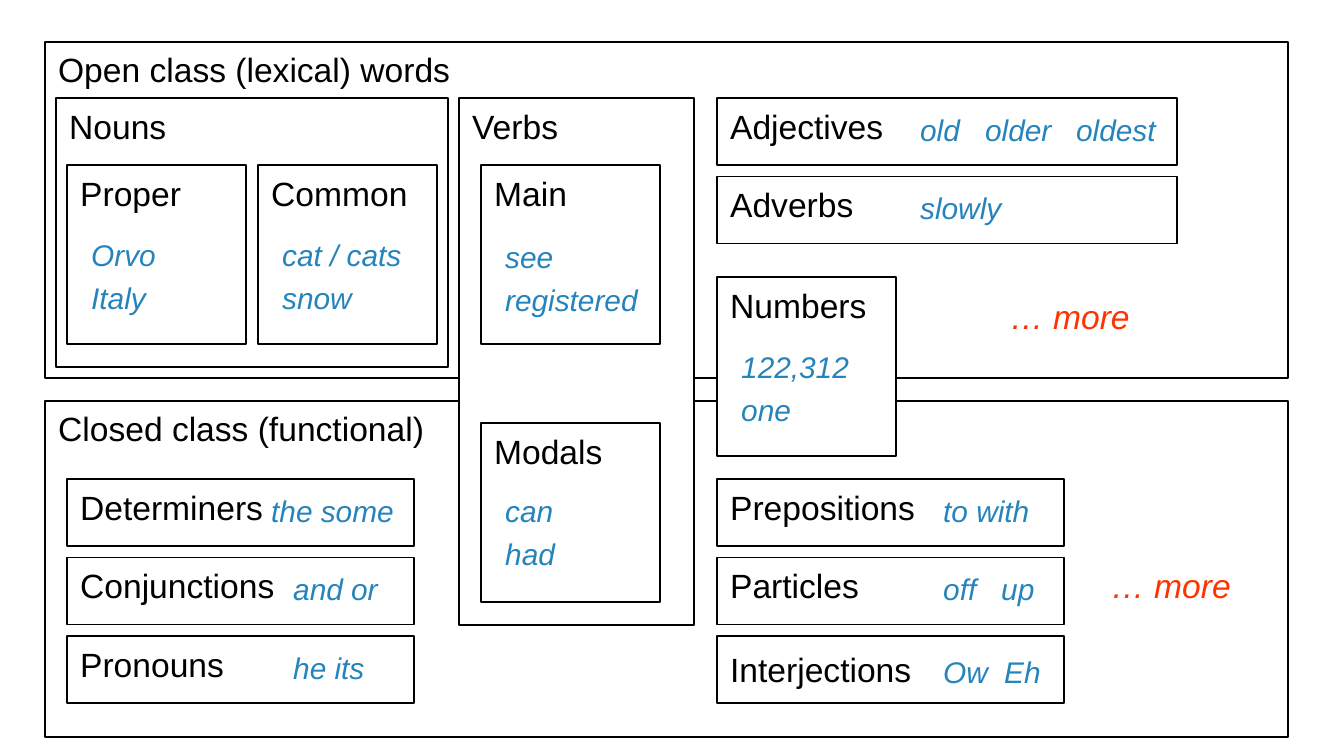
import pptx
import pptx.dml.color
import pptx.enum.shapes
import pptx.enum.text
import pptx.util
from lxml import etree

SCALE = 914400 / 134.4
COLORS = {"ink": "000000", "paper": "FFFFFF", "example": "2584BB", "more": "FF3300"}
FRAME_W, FRAME_H = 1243, 336
CARD, ROW_H, ROW_PITCH = 179, 67, 78.5
A_NS = "http://schemas.openxmlformats.org/drawingml/2006/main"


def px(n):
    """Turn pixels into EMU."""
    return pptx.util.Emu(round(n * SCALE))


def rgb(name):
    """Look up a named colour."""
    return pptx.dml.color.RGBColor.from_string(COLORS[name])


def write(tf, text, size=18, color="ink", italic=False, gap=0, tabs=()):
    """Fill a text frame, one paragraph for each line of text."""
    for i, line in enumerate(text.split("\n")):
        p = tf.paragraphs[0] if i == 0 else tf.add_paragraph()
        p.alignment = pptx.enum.text.PP_ALIGN.LEFT
        p.space_before = pptx.util.Pt(gap if i else 0)
        if tabs:
            tab_list = etree.SubElement(p._p.get_or_add_pPr(), f"{{{A_NS}}}tabLst")
            for t in tabs:
                etree.SubElement(tab_list, f"{{{A_NS}}}tab", pos=str(px(t)), algn="l")
        r = p.add_run()
        r.text = line
        r.font.name = "Arial"
        r.font.size = pptx.util.Pt(size)
        r.font.italic = italic
        r.font.color.rgb = rgb(color)


def label(s, x, y, w, text, h=54, **fmt):
    """Add a wrapped text box."""
    sp = s.shapes.add_textbox(px(x), px(y), px(w), px(h))
    sp.text_frame.word_wrap = True
    write(sp.text_frame, text, **fmt)


def example(s, x, y, text, w=168, tabs=()):
    """Add blue sample words."""
    h = 93 if "\n" in text else 50
    label(s, x, y, w, text, h=h, size=16, color="example", italic=True, gap=4, tabs=tabs)


def box(s, x, y, w, h, filled=False):
    """Add an outlined rectangle."""
    sp = s.shapes.add_shape(pptx.enum.shapes.MSO_SHAPE.RECTANGLE, px(x), px(y), px(w), px(h))
    sp.shadow.inherit = False
    if filled:
        sp.fill.solid()
        sp.fill.fore_color.rgb = rgb("paper")
    else:
        sp.fill.background()
    sp.line.color.rgb = rgb("ink")
    sp.line.width = pptx.util.Pt(0.75)
    return sp


def card(s, x, y, title, words, words_dy=65, filled=False):
    """Add a square card with a heading and two sample lines."""
    box(s, x, y, CARD, CARD, filled)
    label(s, x, y + 1, 168, title)
    example(s, x + 11, y + words_dy, words)


def row(s, x, y, w, title, words, words_dx, words_dy=7, words_w=168, tabs=(), centred=False):
    """Add a wide box with a heading and sample words beside it."""
    sp = box(s, x, y, w, ROW_H, filled=True)
    if centred:
        sp.text_frame.word_wrap = False
        sp.text_frame.vertical_anchor = pptx.enum.text.MSO_ANCHOR.MIDDLE
        write(sp.text_frame, title)
    else:
        label(s, x, y + 1, 258, title)
    example(s, x + words_dx, y + words_dy, words, words_w, tabs)


def rows(s, x, y, w, items):
    """Stack rows at an equal pitch."""
    for i, (title, words, words_dx, options) in enumerate(items):
        row(s, x, y + i * ROW_PITCH, w, title, words, words_dx, **options)


def frame(s, x, y, title, more_x, more_y):
    """Add a word class frame with its heading and remark."""
    box(s, x, y, FRAME_W, FRAME_H)
    label(s, x, y, 538, title)
    label(s, x + more_x, y + more_y, 168, "… more", color="more", italic=True)


def open_class(s, x, y):
    """Place the open class region."""
    frame(s, x, y, "Open class (lexical) words", 952, 247)
    box(s, x + 11, y + 56, 392, 269)
    label(s, x + 11, y + 57, 212, "Nouns")
    for i, (title, words) in enumerate([("Proper", "Orvo\nItaly"), ("Common", "cat / cats\nsnow")]):
        card(s, x + 22 + i * 191, y + 123, title, words)
    rows(s, x + 672, y + 56, 460, [
        ("Adjectives", "old\tolder\toldest", 190, {"words_w": 292, "tabs": (65, 156)}),
        ("Adverbs", "slowly", 190, {}),
    ])


def closed_class(s, x, y):
    """Place the closed class region."""
    frame(s, x, y, "Closed class (functional)", 1053, 157)
    rows(s, x + 22, y + 78, 347, [
        ("Determiners", "the some", 191, {}),
        ("Conjunctions", "and or", 213, {}),
        ("Pronouns", "he its", 213, {}),
    ])
    rows(s, x + 672, y + 78, 347, [
        ("Prepositions", "to with", 213, {}),
        ("Particles", "off\tup", 213, {"tabs": (58,)}),
        ("Interjections", "Ow\tEh", 213, {"words_dy": 11, "tabs": (61,), "centred": True}),
    ])


def verbs(s, x, y):
    """Place the verb column that spans both classes."""
    box(s, x, y, 235, 527, filled=True)
    label(s, x, y + 1, 258, "Verbs")
    card(s, x + 22, y + 67, "Main", "see\nregistered", words_dy=67)
    card(s, x + 22, y + 325, "Modals", "can\nhad", words_dy=63)


def main():
    """Build and save the slide."""
    prs = pptx.Presentation()
    prs.slide_width, prs.slide_height = px(1344), px(756)
    s = prs.slides.add_slide(prs.slide_layouts[6])
    open_class(s, 45, 42)
    closed_class(s, 45, 401)
    verbs(s, 459, 98)
    card(s, 717, 277, "Numbers", "122,312\none", filled=True)
    prs.save("out.pptx")


main()
